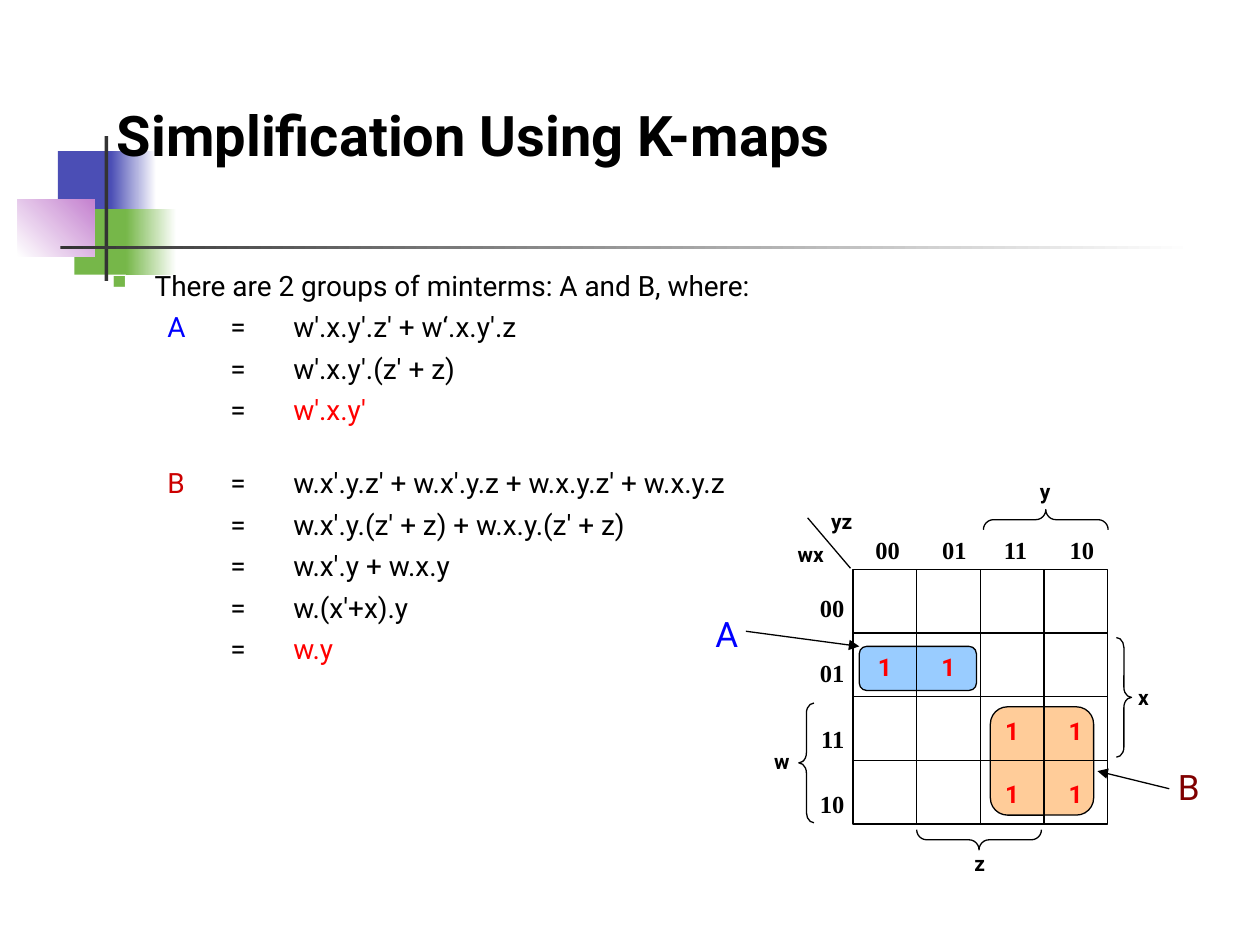
from dataclasses import dataclass, field
from typing import Any, Optional

import lxml.etree
import pptx
import pptx.dml.color
import pptx.enum.shapes
import pptx.enum.text
import pptx.oxml.ns
import pptx.util

RGBColor = pptx.dml.color.RGBColor
Inches = pptx.util.Inches
Shape = pptx.enum.shapes.MSO_SHAPE
Align = pptx.enum.text.PP_ALIGN
Anchor = pptx.enum.text.MSO_ANCHOR

BLACK = RGBColor(0x00, 0x00, 0x00)
WHITE = RGBColor(0xFF, 0xFF, 0xFF)
GRAY = RGBColor(0x33, 0x33, 0x33)
INDIGO = RGBColor(0x4B, 0x4E, 0xB5)
GREEN = RGBColor(0x76, 0xB7, 0x49)
VIOLET = RGBColor(0xC4, 0x81, 0xCF)
BLUE = RGBColor(0x00, 0x00, 0xFF)
RED = RGBColor(0xFF, 0x00, 0x00)
CRIMSON = RGBColor(0xCC, 0x00, 0x00)
MAROON = RGBColor(0x80, 0x00, 0x00)
SKY = RGBColor(0x99, 0xCC, 0xFF)
PEACH = RGBColor(0xFF, 0xCC, 0x99)

SANS, SERIF = "Roboto", "Times New Roman"
MAP_LEFT, MAP_TOP, MAP_SIDE = 6.77, 4.52, 2.02
CELL = MAP_SIDE / 4


@dataclass
class Block:
    at: tuple[float, float, float, float]
    fill: Optional[RGBColor] = None
    fade: Optional[tuple[RGBColor, RGBColor]] = None
    angle: float = 0
    kind: Any = Shape.RECTANGLE
    outlined: bool = False


@dataclass
class Brace:
    at: tuple[float, float, float, float]
    kind: Any
    turn: int = 0


@dataclass
class Label:
    text: str
    at: tuple[float, float, float, float]
    size: float = 12
    color: RGBColor = BLACK
    bold: bool = True
    font: str = SANS
    align: Any = Align.CENTER


@dataclass
class Equation:
    text: str
    name: str = ""
    name_color: RGBColor = BLACK
    color: RGBColor = BLACK
    form: dict = field(default_factory=dict)


def apply(target: Any, values: dict) -> None:
    for name, value in values.items():
        setattr(target, name, value)


def add_xml(parent: Any, tag: str, **attributes: str) -> Any:
    child = lxml.etree.SubElement(parent, pptx.oxml.ns.qn(tag))
    for name, value in attributes.items():
        child.set(name, value)
    return child


def set_tabs(para: Any, stops: list[float]) -> None:
    tabs = add_xml(para._p.get_or_add_pPr(), "a:tabLst")
    for stop in stops:
        add_xml(tabs, "a:tab", pos=str(Inches(stop)), algn="l")


def set_indent(para: Any, margin: float, first: float) -> None:
    properties = para._p.get_or_add_pPr()
    properties.set("marL", str(Inches(margin)))
    properties.set("indent", str(Inches(first)))


def add_span(para: Any, text: str, size: float, color: RGBColor,
             bold: bool = False, font: str = SANS) -> None:
    span = para.add_run()
    span.text = text
    apply(span.font, {"name": font, "size": pptx.util.Pt(size), "bold": bold})
    span.font.color.rgb = color


def add_box(page: Any, at: tuple[float, float, float, float], **frame: Any) -> Any:
    box = page.shapes.add_textbox(*map(Inches, at))
    apply(box.text_frame, {"word_wrap": True, **frame})
    return box.text_frame


def add_label(page: Any, label: Label) -> Any:
    frame = add_box(page, label.at)
    for index, line in enumerate(label.text.split("\n")):
        para = frame.add_paragraph() if index else frame.paragraphs[0]
        para.alignment = label.align
        add_span(para, line, label.size, label.color, label.bold, label.font)
    return frame


def add_outline(shape: Any) -> None:
    shape.line.color.rgb = BLACK
    shape.line.width = pptx.util.Pt(0.75)


def add_block(page: Any, block: Block) -> Any:
    shape = page.shapes.add_shape(block.kind, *map(Inches, block.at))
    shape.shadow.inherit = False
    if block.fade:
        shape.fill.gradient()
        shape.fill.gradient_angle = block.angle
        for stop, color in zip(shape.fill.gradient_stops, block.fade):
            stop.color.rgb = color
    elif block.fill is not None:
        shape.fill.solid()
        shape.fill.fore_color.rgb = block.fill
    else:
        shape.fill.background()
    if block.outlined:
        add_outline(shape)
    else:
        shape.line.fill.background()
    return shape


def add_brace(page: Any, brace: Brace) -> None:
    shape = add_block(page, Block(brace.at, kind=brace.kind, outlined=True))
    shape.rotation = brace.turn
    shape.adjustments[0] = 0.08 / brace.at[2]


def add_line(page: Any, *ends: float, arrow: bool = False) -> Any:
    line = page.shapes.add_connector(
        pptx.enum.shapes.MSO_CONNECTOR.STRAIGHT, *map(Inches, ends))
    add_outline(line)
    if arrow:
        add_xml(line.line._get_or_add_ln(), "a:tailEnd", type="triangle")
    add_xml(line.element.spPr, "a:effectLst")
    return line


def add_equations(page: Any, equations: list[Equation]) -> None:
    frame = add_box(page, (0.75, 1.42, 8.74, 4.01), margin_top=Inches(0.71))
    intro = frame.paragraphs[0]
    set_indent(intro, 0.38, -0.38)
    properties = intro._p.get_or_add_pPr()
    add_xml(add_xml(properties, "a:buClr"), "a:srgbClr", val=str(GREEN))
    add_xml(properties, "a:buSzPct", val="120000")
    add_xml(properties, "a:buChar", char="▪")
    add_span(intro, "There are 2 groups of minterms: A and B, where:", 16, BLACK)
    for equation in equations:
        para = frame.add_paragraph()
        set_indent(para, 0.48, 0)
        set_tabs(para, [0.9, 1.13])
        apply(para, {"space_before": pptx.util.Pt(4.5), **equation.form})
        if equation.name:
            add_span(para, equation.name, 16, equation.name_color)
        add_span(para, "\t=\t", 16, BLACK)
        add_span(para, equation.text, 16, equation.color)


def add_map(page: Any) -> None:
    rounded = Shape.FLOWCHART_ALTERNATE_PROCESS
    add_block(page, Block((7.86, 5.61, 0.82, 0.86), PEACH, kind=rounded, outlined=True))
    add_block(page, Block((6.82, 5.13, 0.93, 0.35), SKY, kind=rounded, outlined=True))
    grid = add_block(page, Block((MAP_LEFT, MAP_TOP, MAP_SIDE, MAP_SIDE), outlined=True))
    right, bottom = MAP_LEFT + MAP_SIDE, MAP_TOP + MAP_SIDE
    for step in (1, 2, 3):
        x, y = MAP_LEFT + step * CELL, MAP_TOP + step * CELL
        across = add_line(page, MAP_LEFT, y, right, y)
        down = add_line(page, x, MAP_TOP, x, bottom)
        if step == 2:
            across.begin_connect(grid, 1)
            across.end_connect(grid, 3)
            down.begin_connect(grid, 0)
            down.end_connect(grid, 2)
    for row, column in [(1, 0), (1, 1), (2, 2), (2, 3), (3, 2), (3, 3)]:
        corner = (MAP_LEFT + column * CELL, MAP_TOP + row * CELL + 0.1)
        add_label(page, Label("1", (*corner, CELL, 0.4), 14, RED))

    rows = add_label(page, Label("00\n01\n11\n10", (6.25, 4.63, 0.55, 2.09), 14,
                                 font=SERIF, align=Align.RIGHT))
    for index, para in enumerate(rows.paragraphs):
        apply(para, {"line_spacing": 1.1, "space_before": pptx.util.Pt(19 if index else 0)})
    columns = add_label(page, Label("00\t01\t11\t10", (6.85, 4.2, 2.07, 0.4), 14,
                                    font=SERIF, align=Align.LEFT))
    set_tabs(columns.paragraphs[0], [0.53, 1.02, 1.54])

    add_line(page, 6.75, 4.51, 6.41, 4.11)
    add_line(page, 5.92, 5.01, 6.82, 5.13, arrow=True)
    add_line(page, 9.28, 6.26, 8.71, 6.12, arrow=True)
    for brace in [Brace((6.34, 5.58, 0.12, 0.95), Shape.LEFT_BRACE),
                  Brace((8.86, 5.06, 0.12, 0.95), Shape.RIGHT_BRACE),
                  Brace((8.22, 3.63, 0.16, 0.99), Shape.LEFT_BRACE, 90),
                  Brace((7.69, 6.17, 0.16, 0.99), Shape.LEFT_BRACE, 270)]:
        add_brace(page, brace)
    for label in [Label("w", (6.02, 5.89, 0.37, 0.4)), Label("x", (8.89, 5.38, 0.37, 0.4)),
                  Label("y", (8.11, 3.75, 0.37, 0.3)), Label("z", (7.59, 6.7, 0.37, 0.3)),
                  Label("wx", (6.17, 4.25, 0.53, 0.36)), Label("yz", (6.46, 3.99, 0.44, 0.32)),
                  Label("A", (5.58, 4.81, 0.34, 0.5), 20, BLUE, False),
                  Label("B", (9.25, 6.03, 0.34, 0.5), 20, MAROON, False)]:
        add_label(page, label)


def main() -> None:
    deck = pptx.Presentation()
    apply(deck, {"slide_width": Inches(10), "slide_height": Inches(7.5)})
    page = deck.slides.add_slide(deck.slide_layouts[6])
    for block in [Block((0.46, 1.2, 0.48, 0.52), INDIGO),
                  Block((0.88, 1.2, 0.36, 0.52), fade=(INDIGO, WHITE)),
                  Block((0.59, 1.66, 0.46, 0.52), GREEN),
                  Block((1, 1.66, 0.4, 0.52), fade=(GREEN, WHITE)),
                  Block((0.14, 1.58, 0.61, 0.46), fade=(WHITE, VIOLET), angle=45),
                  Block((0.83, 1.08, 0.03, 1.15), GRAY),
                  Block((0.48, 1.95, 9, 0.03), fade=(GRAY, WHITE))]:
        add_block(page, block)
    title = add_label(page, Label("Simplification Using K-maps", (0.83, 0.25, 8.52, 1.13),
                                  32, align=Align.LEFT))
    title.vertical_anchor = Anchor.BOTTOM
    add_equations(page, [
        Equation("w'.x.y'.z' + w‘.x.y'.z", "A", BLUE),
        Equation("w'.x.y'.(z' + z)"),
        Equation("w'.x.y'", color=RED, form={"space_after": pptx.util.Pt(18)}),
        Equation("w.x'.y.z' + w.x'.y.z + w.x.y.z' + w.x.y.z", "B", CRIMSON),
        Equation("w.x'.y.(z' + z) + w.x.y.(z' + z)"),
        Equation("w.x'.y + w.x.y"),
        Equation("w.(x'+x).y"),
        Equation("w.y", color=RED)])
    add_map(page)
    deck.save("out.pptx")


if __name__ == "__main__":
    main()
